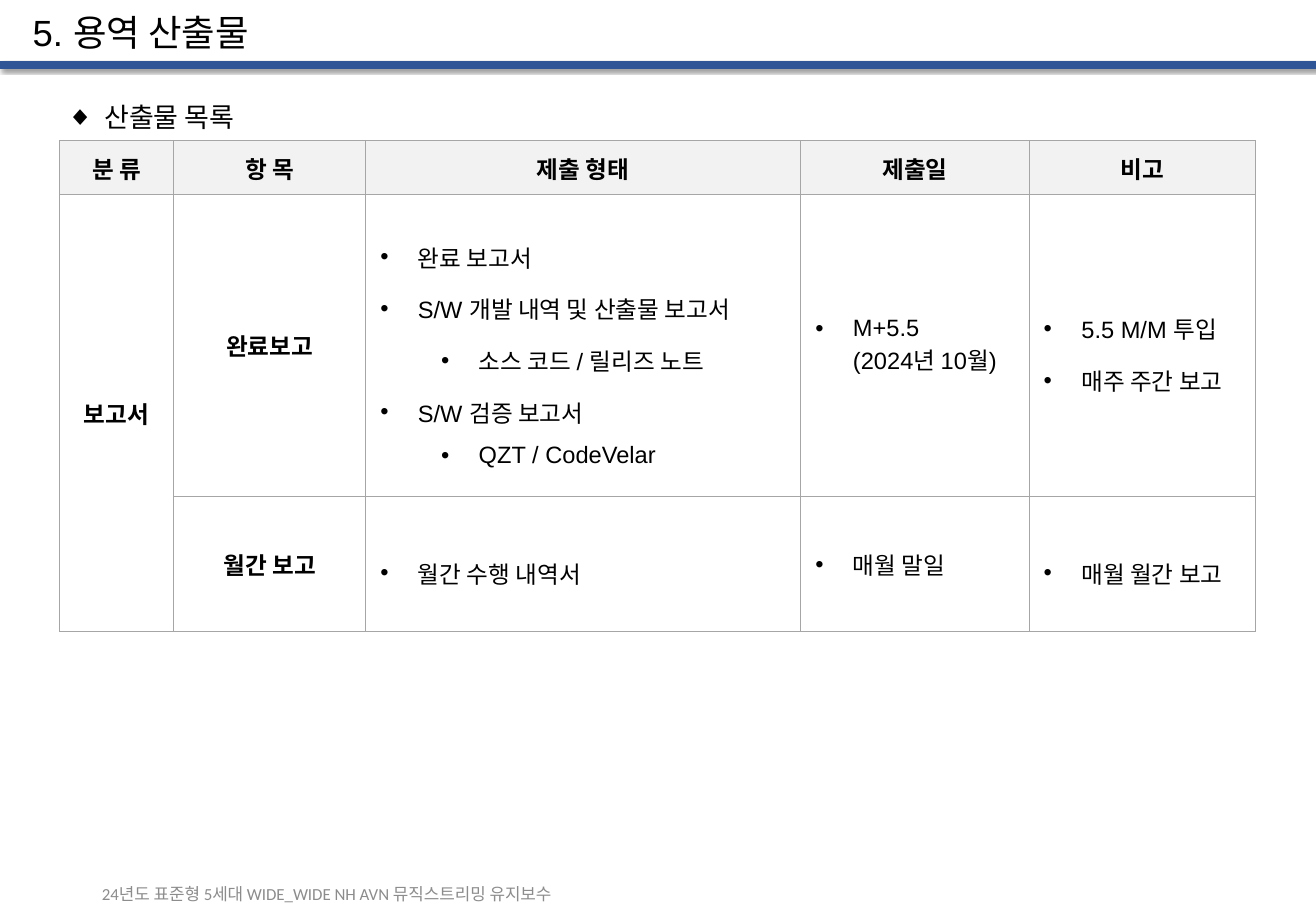
from lxml.etree import SubElement
from pptx import Presentation
from pptx.dml.color import RGBColor
from pptx.enum.shapes import MSO_SHAPE as SHAPE
from pptx.enum.text import MSO_ANCHOR as ANCHOR, PP_ALIGN as ALIGN
from pptx.oxml import parse_xml
from pptx.oxml.ns import nsdecls, qn
from pptx.util import Pt

PX = 9144  # one px is a hundredth of an inch
INDENT = 31
LEVEL_STEP = 50

HEADERS = ["분 류", "항 목", "제출 형태", "제출일", "비고"]
COLUMN_WIDTHS = [94, 158, 358, 188, 186]
ROW_HEIGHTS = [44, 249, 111]
# Each report: its name, then the (level, text) items of every column
REPORTS = [
    ("완료보고", [
        [(0, "완료 보고서"), (0, "S/W 개발 내역 및 산출물 보고서"),
         (1, "소스 코드 / 릴리즈 노트"), (0, "S/W 검증 보고서"),
         (1, "QZT / CodeVelar")],
        [(0, "M+5.5\n(2024년 10월)")],
        [(0, "5.5 M/M 투입"), (0, "매주 주간 보고")],
    ]),
    ("월간 보고", [
        [(0, "월간 수행 내역서")],
        [(0, "매월 말일")],
        [(0, "매월 월간 보고")],
    ]),
]


def px(*lengths):
    return [length * PX for length in lengths]


def color(value):
    return RGBColor.from_string(value)


def format_runs(paragraph, size, font="Arial", fill="000000", bold=False):
    for run in paragraph.runs:
        run.font.size = Pt(size)
        run.font.name = font
        run.font.bold = bold
        run.font.color.rgb = color(fill)


def add_bullet(paragraph, character, level=0):
    properties = paragraph._p.get_or_add_pPr()
    properties.set("marL", str((INDENT + level * LEVEL_STEP) * PX))
    properties.set("indent", str(-INDENT * PX))
    SubElement(properties, qn("a:buFont"), typeface="Arial")
    SubElement(properties, qn("a:buChar"), char=character)


def add_text(slide, bounds, text, size, font="Arial", fill="000000",
             anchor=ANCHOR.MIDDLE, wrap=True):
    frame = slide.shapes.add_textbox(*px(*bounds)).text_frame
    frame.word_wrap = wrap
    frame.vertical_anchor = anchor
    paragraph = frame.paragraphs[0]
    paragraph.text = text
    format_runs(paragraph, size, font, fill)
    return paragraph


def add_title_bar(slide):
    bar = slide.shapes.add_shape(SHAPE.RECTANGLE, *px(0, 51, 1083, 5))
    bar.fill.solid()
    bar.fill.fore_color.rgb = bar.line.color.rgb = color("2F5597")
    bar.line.width = Pt(1)
    bar.shadow.inherit = False
    effects = bar._element.spPr.find(qn("a:effectLst"))
    effects.append(parse_xml(
        f'<a:outerShdw {nsdecls("a")} blurRad="{Pt(2)}" dist="{Pt(2)}" '
        'dir="2700000" rotWithShape="0"><a:srgbClr val="000000">'
        '<a:alpha val="40000"/></a:srgbClr></a:outerShdw>'))


def style_cell(cell, fill, margins):
    cell.fill.solid()
    cell.fill.fore_color.rgb = color(fill)
    cell.vertical_anchor = ANCHOR.MIDDLE
    (cell.margin_left, cell.margin_top,
     cell.margin_right, cell.margin_bottom) = px(*margins)
    properties = cell._tc.get_or_add_tcPr()
    for index, side in enumerate("LRTB"):
        properties.insert(index, parse_xml(
            f'<a:ln{side} {nsdecls("a")} w="{Pt(0.75)}"><a:solidFill>'
            f'<a:srgbClr val="A6A6A6"/></a:solidFill></a:ln{side}>'))


def fill_label(cell, text, font="Arial"):
    paragraph = cell.text_frame.paragraphs[0]
    paragraph.text = text
    paragraph.alignment = ALIGN.CENTER
    format_runs(paragraph, 14, font, bold=True)


def fill_list(cell, items, line_spacing):
    frame = cell.text_frame
    for index, (level, text) in enumerate(items):
        paragraph = frame.add_paragraph() if index else frame.paragraphs[0]
        paragraph.text = text
        paragraph.level = level
        paragraph.line_spacing = line_spacing
        add_bullet(paragraph, "•", level)
        format_runs(paragraph, 14)


def add_deliverables_table(slide):
    table = slide.shapes.add_table(
        len(ROW_HEIGHTS), len(COLUMN_WIDTHS),
        *px(49, 116, sum(COLUMN_WIDTHS), sum(ROW_HEIGHTS))).table
    table.first_row = table.horz_banding = False
    for column, width in zip(table.columns, COLUMN_WIDTHS):
        column.width = width * PX
    for row, height in zip(table.rows, ROW_HEIGHTS):
        row.height = height * PX

    # Header row
    for column, header in enumerate(HEADERS):
        cell = table.cell(0, column)
        style_cell(cell, "F2F2F2", (0, 8, 0, 8))
        fill_label(cell, header, "Arial" if column else "Calibri")

    # Report rows
    for row, (name, lists) in enumerate(REPORTS, 1):
        for column in range(len(HEADERS)):
            left = 12 if column > 1 else 0
            style_cell(table.cell(row, column), "FFFFFF", (left, 0, 0, 0))
        fill_label(table.cell(row, 1), name)
        for column, items in enumerate(lists, 2):
            spacing = 1.0 if HEADERS[column] == "제출일" else 1.5
            fill_list(table.cell(row, column), items, spacing)

    # Category shared by both reports
    category = table.cell(1, 0)
    category.merge(table.cell(2, 0))
    fill_label(category, "보고서", "Calibri")


def main():
    presentation = Presentation()
    presentation.slide_width, presentation.slide_height = px(1083, 750)
    slide = presentation.slides.add_slide(presentation.slide_layouts[6])

    # Title and footer
    add_title_bar(slide)
    title = add_text(slide, (17, 6, 934, 45), "5. 용역 산출물", 21.6)
    title.line_spacing = 0.9
    add_text(slide, (74, 723, 430, 26),
             "24년도 표준형 5세대 WIDE_WIDE NH AVN 뮤직스트리밍 유지보수",
             10, "Calibri", "8C8C8C")

    # Deliverables
    heading = add_text(slide, (45, 78, 172, 37), "산출물 목록", 16,
                       anchor=ANCHOR.TOP, wrap=False)
    add_bullet(heading, "◆")
    add_deliverables_table(slide)

    presentation.save("out.pptx")


if __name__ == "__main__":
    main()
